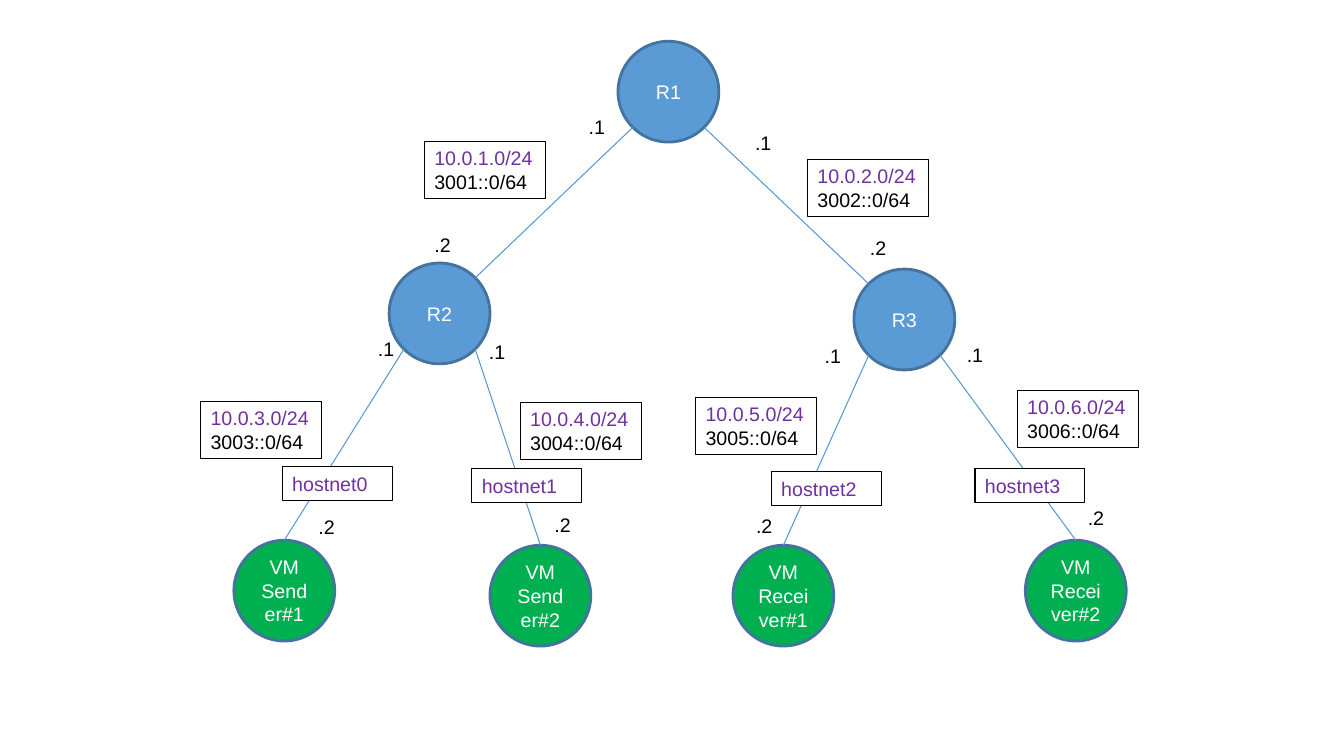
import pptx
import pptx.util
import pptx.dml.color
import pptx.enum.shapes
import pptx.enum.text
import lxml.etree

RGBColor = pptx.dml.color.RGBColor
BLUE = RGBColor(0x5B, 0x9B, 0xD5)
EDGE = RGBColor(0x43, 0x73, 0x9E)
LINK = RGBColor(0x56, 0x98, 0xD3)
GREEN = RGBColor(0x00, 0xB0, 0x50)
PURPLE = RGBColor(0x70, 0x30, 0xA0)
BLACK = RGBColor(0x00, 0x00, 0x00)
WHITE = RGBColor(0xFF, 0xFF, 0xFF)

SHAPE = pptx.enum.shapes.MSO_SHAPE
ALIGN = pptx.enum.text.PP_ALIGN
ANCHOR = pptx.enum.text.MSO_ANCHOR

# Slide and grid: ten columns and ten rows to the inch
prs = pptx.Presentation()
prs.slide_width = pptx.util.Inches(13.33)
prs.slide_height = pptx.util.Inches(7.5)
s = prs.slides.add_slide(prs.slide_layouts[6])
CELL = pptx.util.Inches(0.1)


def grid(*cells):
    return [round(c * CELL) for c in cells]


def write(sp, text, colors=(BLACK,), align=ALIGN.CENTER, anchor=ANCHOR.MIDDLE, wrap=True):
    """Write one paragraph per line; the last colour serves any further lines."""
    tf = sp.text_frame
    tf.word_wrap = wrap
    tf.vertical_anchor = anchor
    for i, line in enumerate(text.split("\n")):
        p = tf.paragraphs[0] if i == 0 else tf.add_paragraph()
        p.alignment = align
        r = p.add_run()
        r.text = line
        r.font.name = "Arial"
        r.font.size = pptx.util.Pt(14)
        r.font.color.rgb = colors[min(i, len(colors) - 1)]


# Routers and virtual machines
D = 10
nodes = {
    "R1": (61.3, 4.1),
    "R2": (38.6, 26.1),
    "R3": (84.7, 26.7),
    "VM\nSender#1": (23.2, 53.6),
    "VM\nSender#2": (48.6, 54.1),
    "VM\nReceiver#1": (72.7, 54.1),
    "VM\nReceiver#2": (101.7, 53.6),
}
for name, (x, y) in nodes.items():
    sp = s.shapes.add_shape(SHAPE.OVAL, *grid(x, y, D, D))
    sp.shadow.inherit = False
    sp.fill.solid()
    sp.fill.fore_color.rgb = GREEN if name.startswith("VM") else BLUE
    sp.line.color.rgb = EDGE
    sp.line.width = pptx.util.Pt(2)
    write(sp, name, colors=(WHITE,))

# Links leave a router at its lower diagonal; side is -1 for left, 1 for right
DIAG = D / 2 * 0.5 ** 0.5
links = [
    ("R1", "R2", -1), ("R1", "R3", 1),
    ("R2", "VM\nSender#1", -1), ("R2", "VM\nSender#2", 1),
    ("R3", "VM\nReceiver#1", -1), ("R3", "VM\nReceiver#2", 1),
]
for parent, child, side in links:
    x1, y1 = (c + D / 2 for c in nodes[parent])
    x2, y2 = (c + D / 2 for c in nodes[child])
    if child.startswith("VM"):
        end = (x2, y2 - D / 2)
    else:
        end = (x2 - side * DIAG, y2 - DIAG)
    cx = s.shapes.add_connector(pptx.enum.shapes.MSO_CONNECTOR.STRAIGHT,
                                *grid(x1 + side * DIAG, y1 + DIAG, *end))
    cx.line.color.rgb = LINK
    cx.line.width = pptx.util.Pt(0.75)
    lxml.etree.SubElement(cx._element.spPr, pptx.oxml.ns.qn("a:effectLst"))

# Host addresses at the two ends of each link
hosts = {
    ".1": [(57.2, 11), (73.7, 12.6), (36.3, 33), (47.3, 33.3), (80.6, 33.7), (94.7, 33.6)],
    ".2": [(41.9, 22.7), (85.1, 23), (30.4, 50.7), (53.8, 50.5), (73.8, 50.6), (106.7, 49.8)],
}
for host, places in hosts.items():
    for x, y in places:
        write(s.shapes.add_textbox(*grid(x, y, 4, 3.1)), host, wrap=False)

# Network and interface boxes
networks = [(42.1, 14), (80.1, 15.8), (19.9, 39.8), (51.6, 39.9), (69, 39.4), (100.9, 38.7)]
interfaces = [(28, 46.3), (46.8, 46.5), (76.5, 46.8), (96.7, 46.5)]
boxes = [(f"10.0.{n}.0/24\n300{n}::0/64", x, y, 12, 5.7)
         for n, (x, y) in enumerate(networks, 1)]
boxes += [(f"hostnet{n}", x, y, 10.9, 3.4) for n, (x, y) in enumerate(interfaces)]
for text, x, y, w, h in boxes:
    sp = s.shapes.add_shape(SHAPE.RECTANGLE, *grid(x, y, w, h))
    sp.shadow.inherit = False
    sp.fill.solid()
    sp.fill.fore_color.rgb = WHITE
    sp.line.color.rgb = BLACK
    sp.line.width = pptx.util.Pt(0.75)
    write(sp, text, colors=(PURPLE, BLACK), align=ALIGN.LEFT, anchor=ANCHOR.TOP)

prs.save("out.pptx")
